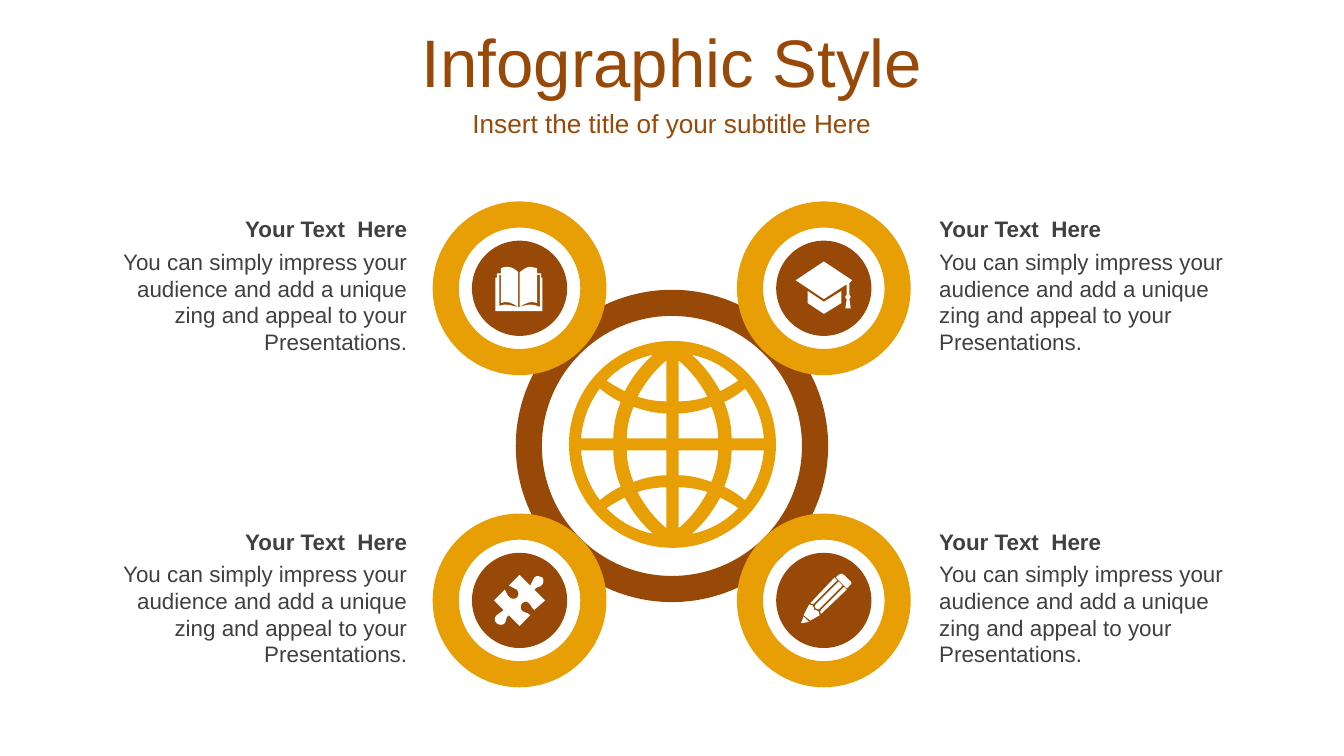
from dataclasses import dataclass

from pptx import Presentation
from pptx.dml.color import RGBColor
from pptx.enum.shapes import MSO_SHAPE
from pptx.enum.text import MSO_ANCHOR, MSO_AUTO_SIZE, PP_ALIGN
from pptx.oxml.ns import qn
from pptx.oxml.xmlchemy import OxmlElement
from pptx.util import Cm, Pt

OVAL = MSO_SHAPE.OVAL
MIDDLE = MSO_ANCHOR.MIDDLE
FIXED, GROW = MSO_AUTO_SIZE.NONE, MSO_AUTO_SIZE.SHAPE_TO_FIT_TEXT
LEFT, CENTER, RIGHT = PP_ALIGN.LEFT, PP_ALIGN.CENTER, PP_ALIGN.RIGHT


@dataclass(frozen=True)
class Theme:
    brown: RGBColor = RGBColor(0x98, 0x48, 0x07)
    amber: RGBColor = RGBColor(0xE7, 0x9F, 0x05)
    grey: RGBColor = RGBColor(0x40, 0x40, 0x40)
    white: RGBColor = RGBColor(0xFF, 0xFF, 0xFF)
    font: str = "Arial"
    title: Pt = Pt(36)
    subtitle: Pt = Pt(14)
    text: Pt = Pt(12)
    ring: Pt = Pt(14)


theme = Theme()
ICON_UNIT = Cm(2.54) / 100

BOOK = """M -1 14 C -1 14 0 15 0 14 C 6 12 9 11 15 14 L 15 -10 13 -10
C 13 -3 13 4 13 11 C 9 9 4 11 0 14 L 0 -10 0 -11 0 -12 C 3 -14 5 -16 8 -16
C 10 -16 11 -16 13 -15 C 13 -14 13 -12 13 -11 L 16 -11 16 -8 17 -8 17 17
-18 17 -18 -8 -17 -8 -17 -11 -14 -11 C -14 -12 -14 -14 -14 -15
C -12 -16 -10 -16 -9 -16 C -6 -16 -3 -14 -1 -12 L -1 -11 -1 -10 -1 14
C -5 11 -10 9 -14 11 L -14 -10 -15 -10 -15 13 C -10 11 -6 13 -1 14"""
PUZZLE = """M 17 -17 C 18 -16 18 -13 17 -12 C 15 -9 13 -11 11 -8 L 19 0 11 7
C 8 5 9 3 7 2 C 5 0 3 1 2 2 C 1 3 0 6 2 8 C 4 10 5 8 8 11 L 0 19 -8 11
C -11 13 -9 14 -11 17 C -13 19 -16 18 -17 17 C -19 15 -19 13 -17 11
C -16 9 -14 10 -12 7 L -19 0 -11 -8 C -9 -6 -10 -4 -7 -2
C -6 -1 -3 -1 -2 -2 C -1 -3 0 -6 -2 -8 C -5 -10 -5 -9 -8 -11 L 0 -19 8 -11
C 10 -14 9 -14 11 -17 C 13 -19 15 -18 17 -17"""
CAP = """M -12 2 L 0 10 13 2 13 11 0 19 -12 11
M 0 -20 L 21 -6 19 -4 19 5 C 19 5 20 6 20 6 C 20 7 19 8 19 8 L 20 15 16 15 17 8
C 16 8 16 7 16 6 C 16 6 16 5 17 5 L 17 -3 0 8 -21 -6"""
PENCIL = """M -15 12 L -11 16 -17 17
M -11 3 C -10 4 -9 4 -8 4 C -8 5 -8 6 -7 7 C -6 8 -5 8 -4 8 C -4 9 -4 10 -3 11
L -10 15 -15 11
M 15 -10 L 17 -8 -2 10 C -2 10 -2 10 -2 10 C -3 9 -3 8 -2 7
M 11 -14 L 14 -11 -3 6 C -3 7 -5 7 -6 6 C -7 5 -7 4 -6 3
M 8 -17 L 10 -15 -7 2 C -8 3 -9 3 -10 2 C -10 2 -10 2 -10 2
M 13 -20 C 14 -20 14 -20 15 -19 L 19 -15 C 21 -14 21 -12 19 -11
C 19 -10 18 -10 17 -9 L 9 -17 11 -19 C 12 -20 12 -20 13 -20"""
GLOBE_EDGE = """M 77 0 C 77 42.5 42.5 77 0 77 C -42.5 77 -77 42.5 -77 0
C -77 -42.5 -42.5 -77 0 -77 C 42.5 -77 77 -42.5 77 0"""
GLOBE_QUARTER = """M 4.5 4.5 L 34 4.5 C 34 12.5 32 20.5 29 28 C 21 25 12 23 4.5 23
M 44 4.5 L 68 4.5 C 67 18 62 31 54 41.5 C 49 37.5 44 34 38.5 31.5 C 42 23 44 14 44 4.5
M 4.5 32 C 11 32 19 33 26 35.5 C 20.5 46 13 55.5 4.5 62.5
M 14.5 66.5 C 23 59 30 50 35.5 39.5 C 40 42 45 44.5 49 47.5 C 40 57 28 64 14.5 66.5"""


def trace(outline, flip_x=1, flip_y=1):
    steps, numbers, command = [], [], ""
    for token in outline.split():
        if token.isalpha():
            command = token
        else:
            numbers.append(float(token))
            if len(numbers) == 2:
                steps.append((command, numbers[0] * flip_x, numbers[1] * flip_y))
                numbers = []
    return steps


def draw_icon(steps, center_x, center_y, color):
    contours = []
    for command, x, y in steps:
        if command == "M":
            contours.append([])
        contours[-1].append((Cm(center_x) + x * ICON_UNIT, Cm(center_y) + y * ICON_UNIT))
    builder = slide.shapes.build_freeform(*contours[0][0], scale=1.0)
    builder.add_line_segments(contours[0][1:])
    for contour in contours[1:]:
        builder.move_to(*contour[0])
        builder.add_line_segments(contour[1:])
    icon = builder.convert_to_shape()
    icon.shadow.inherit = False
    icon.fill.solid()
    icon.fill.fore_color.rgb = color
    icon.line.fill.background()

    geometry = next(icon._element.iter(qn("a:path")))
    nodes = [node for node in geometry if node.tag != qn("a:close")]
    curve = []
    for (command, _, _), node in zip(steps, nodes):
        if command == "C":
            curve.append(node)
        if len(curve) == 3:
            bezier = OxmlElement("a:cubicBezTo")
            curve[0].addprevious(bezier)
            for control in curve:
                bezier.append(control[0])
                geometry.remove(control)
            curve = []


prs = Presentation()
prs.slide_width, prs.slide_height = Cm(25.4), Cm(14.29)
slide = prs.slides.add_slide(prs.slide_layouts[0])
slide.background.fill.solid()
slide.background.fill.fore_color.rgb = theme.white

title, subtitle = slide.placeholders
for heading, words, top, height, size in (
    (title, "Infographic Style", 0.34, 1.6, theme.title),
    (subtitle, "Insert the title of your subtitle Here", 1.94, 0.79, theme.subtitle),
):
    heading.left, heading.top = Cm(0), Cm(top)
    heading.width, heading.height = prs.slide_width, Cm(height)
    frame = heading.text_frame
    frame.word_wrap, frame.auto_size, frame.vertical_anchor = True, FIXED, MIDDLE
    line = frame.paragraphs[0]
    line.alignment, line.space_before = CENTER, Pt(0)
    run = line.add_run()
    run.text = words
    run.font.name, run.font.size, run.font.color.rgb = theme.font, size, theme.brown

badges = [(9.82, 5.45, BOOK), (15.57, 5.45, CAP), (9.82, 11.35, PUZZLE), (15.57, 11.35, PENCIL)]
rings = [(12.7, 8.43, 5.41, theme.brown)]
rings += [(x, y, 2.79, theme.amber) for x, y, _ in badges]
for x, y, diameter, color in rings:
    ring = slide.shapes.add_shape(
        OVAL, Cm(x - diameter / 2), Cm(y - diameter / 2), Cm(diameter), Cm(diameter))
    ring.shadow.inherit = False
    ring.fill.background()
    ring.line.color.rgb, ring.line.width = color, theme.ring

for x, y, outline in badges:
    disc = slide.shapes.add_shape(OVAL, Cm(x - 0.9), Cm(y - 0.9), Cm(1.8), Cm(1.8))
    disc.shadow.inherit = False
    disc.fill.solid()
    disc.fill.fore_color.rgb = theme.brown
    disc.line.fill.background()
    draw_icon(trace(outline), x, y, theme.white)

globe = trace(GLOBE_EDGE)
for flip_x in (1, -1):
    for flip_y in (1, -1):
        globe += trace(GLOBE_QUARTER, flip_x, flip_y)
draw_icon(globe, 12.71, 8.4, theme.amber)

message = ("You can simply impress your audience and add a unique zing "
           "and appeal to your Presentations.")
for x, y, _ in badges:
    left, width, alignment = (1.9, 6.05, RIGHT) if x < 12.7 else (17.5, 6.4, LEFT)
    for words, offset, height, bold in (
        (message, -0.89, 2.31, False),
        ("Your Text  Here", -1.5, 0.76, True),
    ):
        caption = slide.shapes.add_textbox(Cm(left), Cm(y + offset), Cm(width), Cm(height))
        frame = caption.text_frame
        frame.word_wrap, frame.auto_size = True, GROW
        line = frame.paragraphs[0]
        line.alignment = alignment
        run = line.add_run()
        run.text = words
        run.font.name, run.font.size, run.font.bold = theme.font, theme.text, bold
        run.font.color.rgb = theme.grey

prs.save("out.pptx")
